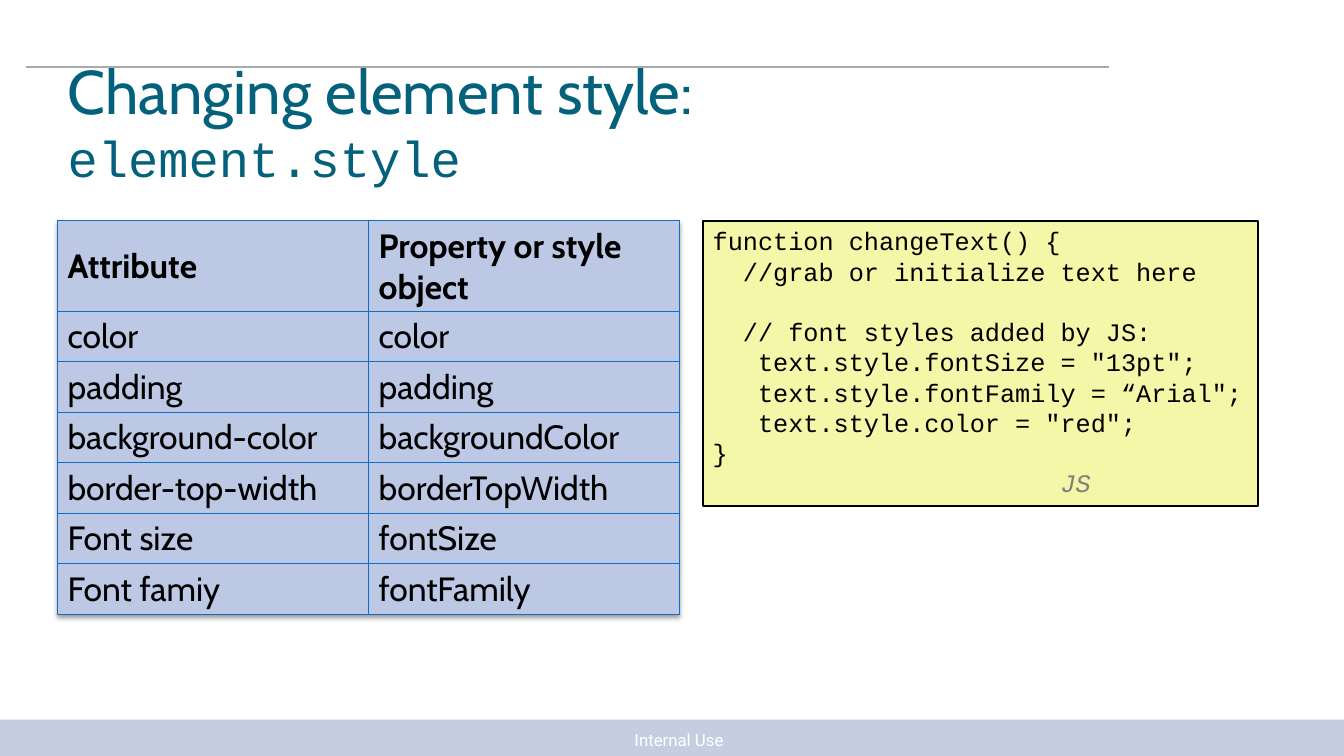
from lxml import etree
from pptx import Presentation
from pptx.dml.color import RGBColor
from pptx.enum.dml import MSO_LINE
from pptx.enum.shapes import MSO_CONNECTOR, MSO_SHAPE
from pptx.enum.text import MSO_ANCHOR, MSO_AUTO_SIZE, PP_ALIGN
from pptx.oxml import parse_xml
from pptx.oxml.ns import nsdecls, qn
from pptx.util import Inches, Pt

RECTANGLE = MSO_SHAPE.RECTANGLE
STRAIGHT = MSO_CONNECTOR.STRAIGHT
SOLID = MSO_LINE.SOLID
MIDDLE = MSO_ANCHOR.MIDDLE
TOP = MSO_ANCHOR.TOP
FIXED_SIZE = MSO_AUTO_SIZE.NONE
LEFT = PP_ALIGN.LEFT
CENTER = PP_ALIGN.CENTER

TEAL = RGBColor(0x04, 0x61, 0x7B)
BLACK = RGBColor(0x00, 0x00, 0x00)
WHITE = RGBColor(0xFF, 0xFF, 0xFF)
GRAY = RGBColor(0x80, 0x80, 0x80)
RULE_GRAY = RGBColor(0xA6, 0xAC, 0xAD)
FOOTER_BLUE = RGBColor(0xC5, 0xCE, 0xE1)
CELL_BLUE = RGBColor(0xBD, 0xC8, 0xE4)
BORDER_BLUE = RGBColor(0x0F, 0x6F, 0xC6)
CODE_YELLOW = RGBColor(0xF4, 0xF6, 0xA8)

SANS = "Cabin"
MONO = "Courier New"
FOOTER_FONT = "Roboto"

SLIDE_WIDTH = Inches(13.33)
SLIDE_HEIGHT = Inches(7.5)
CODE_SIZE = 18
CODE_CHARACTER = Pt(0.6 * CODE_SIZE)
CODE_PITCH = Pt(1.2 * CODE_SIZE)

STYLE_ROWS = [
    ("Attribute", "Property or style object"),
    ("color", "color"),
    ("padding", "padding"),
    ("background-color", "backgroundColor"),
    ("border-top-width", "borderTopWidth"),
    ("Font size", "fontSize"),
    ("Font famiy", "fontFamily"),
]

CODE_LINES = [
    (0, 0, "function changeText() {"),
    (2, 0, "//grab or initialize text here"),
    (2, 1, "// font styles added by JS:"),
    (3, 0, 'text.style.fontSize = "13pt";'),
    (3, 0, 'text.style.fontFamily = “Arial";'),
    (3, 0, 'text.style.color = "red";'),
    (0, 0, "}"),
    (23, 0, "JS"),
]


def across(percent):
    return round(SLIDE_WIDTH * percent / 100)


def down(percent):
    return round(SLIDE_HEIGHT * percent / 100)


def area(left, top, width, height):
    return across(left), down(top), across(width), down(height)


def add_run(paragraph, text, font, size, color, bold=False, italic=False):
    run = paragraph.add_run()
    run.text = text
    run.font.name = font
    run.font.size = Pt(size)
    run.font.color.rgb = color
    run.font.bold = bold
    run.font.italic = italic


def add_box(slide, place, fill):
    shape = slide.shapes.add_shape(RECTANGLE, *place)
    shape.shadow.inherit = False
    shape.fill.solid()
    shape.fill.fore_color.rgb = fill
    shape.line.fill.background()
    return shape


def add_footer(slide):
    add_box(slide, area(0, 95.2, 100, 4.8), FOOTER_BLUE)
    label = slide.shapes.add_textbox(*area(46.36, 95.87, 8.33, 4))
    label.text_frame.word_wrap = False
    paragraph = label.text_frame.paragraphs[0]
    paragraph.alignment = CENTER
    add_run(paragraph, "Internal Use", FOOTER_FONT, 12, WHITE)


def add_rule(slide):
    height = down(8.87)
    rule = slide.shapes.add_connector(STRAIGHT, across(1.95), height, across(82.52), height)
    rule.line.color.rgb = RULE_GRAY
    rule.line.width = Pt(1.5)
    etree.SubElement(rule._element.spPr, qn("a:effectLst"))


def fill_title(slide):
    title = slide.shapes.title
    title.left, title.top, title.width, title.height = area(4.28, 8.67, 66.92, 14.4)
    frame = title.text_frame
    frame.word_wrap = True
    frame.auto_size = FIXED_SIZE
    frame.vertical_anchor = MIDDLE
    paragraph = frame.paragraphs[0]
    paragraph.alignment = LEFT
    add_run(paragraph, "Changing element style: ", SANS, 44, TEAL)
    add_run(paragraph, "element.style", MONO, 36, TEAL)


def add_borders(cell):
    properties = cell._tc.get_or_add_tcPr()
    for position, side in enumerate(("lnL", "lnR", "lnT", "lnB")):
        properties.insert(position, parse_xml(
            f'<a:{side} {nsdecls("a")} w="{Pt(0.79)}"><a:solidFill>'
            f'<a:srgbClr val="{BORDER_BLUE}"/></a:solidFill></a:{side}>'))


def add_table_shadow(table):
    table._tbl.tblPr.insert(0, parse_xml(
        f'<a:effectLst {nsdecls("a")}><a:outerShdw blurRad="{Pt(3)}" dist="{Pt(2)}" '
        'dir="5400000" rotWithShape="0"><a:srgbClr val="000000">'
        '<a:alpha val="40000"/></a:srgbClr></a:outerShdw></a:effectLst>'))


def add_style_table(slide):
    place = area(4.28, 29.2, 46.29, 52)
    table = slide.shapes.add_table(len(STYLE_ROWS), 2, *place).table
    add_table_shadow(table)
    for row_number, texts in enumerate(STYLE_ROWS):
        is_header = row_number == 0
        table.rows[row_number].height = down(12 if is_header else 6.67)
        for column_number, text in enumerate(texts):
            cell = table.cell(row_number, column_number)
            cell.fill.solid()
            cell.fill.fore_color.rgb = CELL_BLUE
            cell.vertical_anchor = MIDDLE
            add_borders(cell)
            add_run(cell.text_frame.paragraphs[0], text, SANS, 24, BLACK, bold=is_header)


def add_code(slide):
    box = add_box(slide, area(52.29, 29.2, 41.34, 37.73), CODE_YELLOW)
    box.line.color.rgb = BLACK
    box.line.width = Pt(1.5)
    box.line.dash_style = SOLID
    frame = box.text_frame
    frame.word_wrap = True
    frame.vertical_anchor = TOP
    for number, (indent, gap_lines, text) in enumerate(CODE_LINES):
        paragraph = frame.add_paragraph() if number else frame.paragraphs[0]
        paragraph.alignment = LEFT
        paragraph.line_spacing = CODE_PITCH
        paragraph.space_before = gap_lines * CODE_PITCH
        paragraph._p.get_or_add_pPr().set("marL", str(indent * CODE_CHARACTER))
        is_label = text == "JS"
        color = GRAY if is_label else BLACK
        add_run(paragraph, text, MONO, CODE_SIZE, color, italic=is_label)


def main():
    presentation = Presentation()
    presentation.slide_width = SLIDE_WIDTH
    presentation.slide_height = SLIDE_HEIGHT
    slide = presentation.slides.add_slide(presentation.slide_layouts[5])
    add_footer(slide)
    add_rule(slide)
    fill_title(slide)
    add_style_table(slide)
    add_code(slide)
    presentation.save("out.pptx")


if __name__ == "__main__":
    main()
